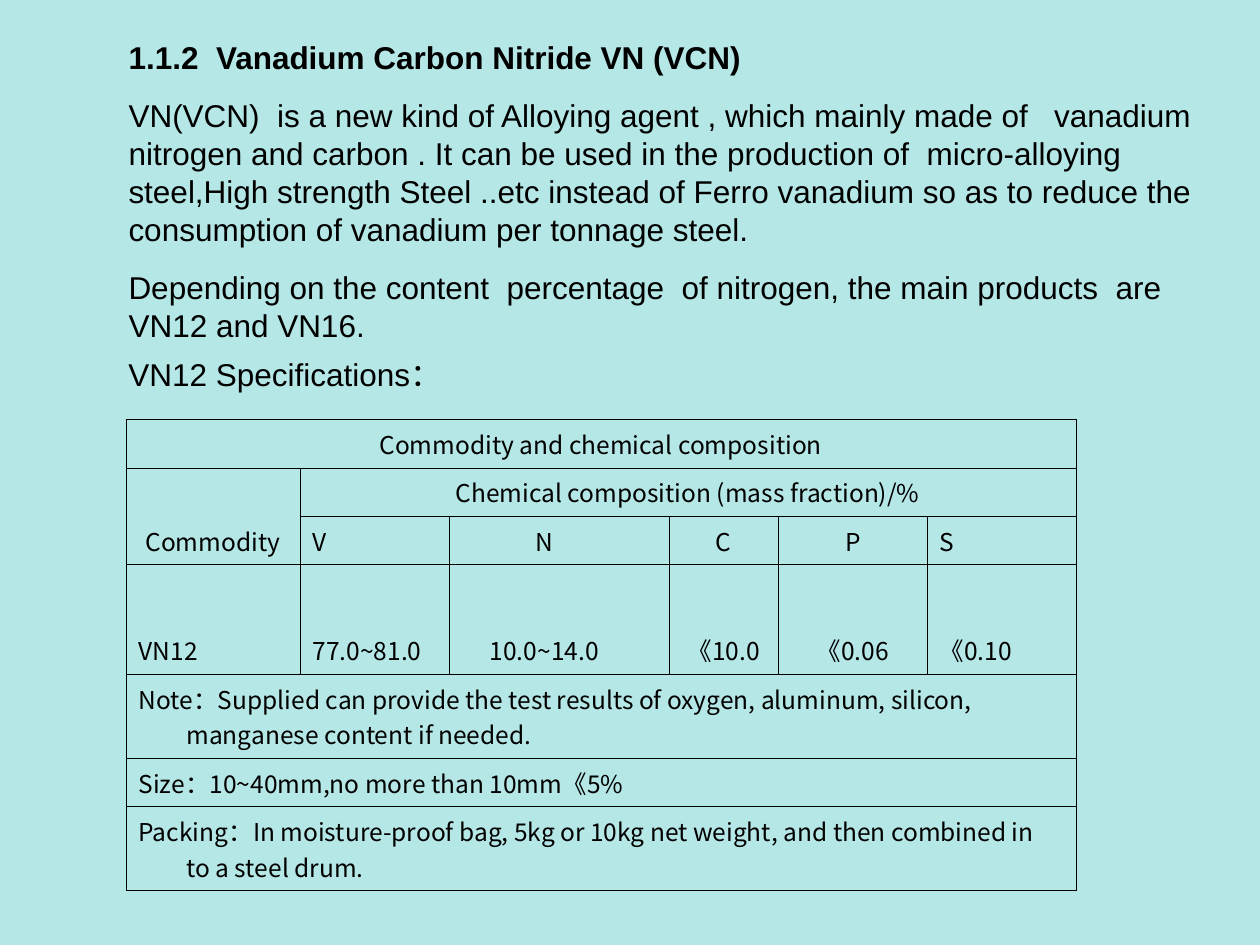
from lxml.etree import SubElement
from pptx import Presentation
from pptx.dml.color import RGBColor
from pptx.enum.text import MSO_ANCHOR, MSO_AUTO_SIZE, PP_ALIGN
from pptx.oxml import parse_xml
from pptx.oxml.ns import nsdecls, qn
from pptx.util import Inches, Pt

BACKGROUND = RGBColor(0xB5, 0xE7, 0xE6)
BLACK = RGBColor(0, 0, 0)
LATIN_FONT = "Arial"
CJK_FONT = "Noto Sans CJK SC"

TEXT_LEFT, TEXT_WIDTH = 0.92, 8.83
HEADING = "1.1.2  Vanadium Carbon Nitride VN (VCN)"
PARAGRAPHS = [
    "VN(VCN)  is a new kind of Alloying agent , which mainly made of   vanadium  "
    "nitrogen and carbon . It can be used in the production of  micro-alloying "
    "steel,High strength Steel ..etc instead of Ferro vanadium so as to reduce the "
    "consumption of vanadium per tonnage steel.",
    "Depending on the content  percentage  of nitrogen, the main products  are  "
    "VN12 and VN16.",
]

COLUMN_WIDTHS = [1.38, 1.19, 1.5, 0.24, 0.87, 1.18, 1.18]
ROW_HEIGHTS = [0.34, 0.34, 0.34, 0.87, 0.57, 0.37, 0.57]
LAST_COLUMN = len(COLUMN_WIDTHS) - 1
NITROGEN_COLUMN, SPARE_COLUMN = 2, 3
SPLIT_ROWS = (2, 3)
CENTERED_COLUMNS = (2, 4, 5)
ROWS = [
    ["Commodity and chemical composition"],
    ["Commodity", "Chemical composition (mass fraction)/%"],
    ["", "V", "N", "", "C", "P", "S"],
    ["VN12", "77.0~81.0", "10.0~14.0", "", "《10.0", "《0.06", "《0.10"],
    ["Note：Supplied can provide the test results of oxygen, aluminum, silicon, "
     "manganese content if needed."],
    ["Size：10~40mm,no more than 10mm《5%"],
    ["Packing：In moisture-proof bag, 5kg or 10kg net weight, and then combined in "
     "to a steel drum."],
]
MERGES = [(0, 0, 0, LAST_COLUMN), (1, 0, 2, 0), (1, 1, 1, LAST_COLUMN)] + [
    (row, 0, row, LAST_COLUMN) for row in (4, 5, 6)
]


def write_text(para, text, size=18, font=LATIN_FONT, bold=False, align=PP_ALIGN.LEFT):
    """Append a formatted run to a paragraph."""
    para.alignment = align
    span = para.add_run()
    span.text = text
    span.font.size = Pt(size)
    span.font.bold = bold
    span.font.name = font
    span.font.color.rgb = BLACK
    SubElement(span.font._element, qn("a:ea")).set("typeface", font)


def set_indent(para, left, first):
    """Set the left margin and first-line indent of a paragraph in inches."""
    properties = para._p.get_or_add_pPr()
    properties.set("marL", str(Inches(left)))
    properties.set("indent", str(Inches(first)))
    return properties


def prepare_box(box, left, top, width, height):
    """Place a text shape and return its wrapped, top-anchored frame."""
    box.left, box.top = Inches(left), Inches(top)
    box.width, box.height = Inches(width), Inches(height)
    frame = box.text_frame
    frame.word_wrap = True
    frame.auto_size = MSO_AUTO_SIZE.NONE
    frame.vertical_anchor = MSO_ANCHOR.TOP
    return frame


def set_spacing(para, before=0):
    """Give a paragraph the common line pitch and its space before."""
    para.line_spacing = Pt(21.7)
    para.space_before = Pt(before)


def add_heading(page):
    """Fill the title placeholder."""
    frame = prepare_box(page.shapes.title, TEXT_LEFT, 0.25, TEXT_WIDTH, 0.42)
    para = frame.paragraphs[0]
    set_spacing(para)
    write_text(para, HEADING, bold=True)


def add_description(page):
    """Fill the body placeholder with unbulleted paragraphs."""
    frame = prepare_box(page.placeholders[1], TEXT_LEFT, 0.71, TEXT_WIDTH, 2.06)
    for index, text in enumerate(PARAGRAPHS):
        para = frame.add_paragraph() if index else frame.paragraphs[0]
        set_spacing(para, before=11.2 if index else 0)
        SubElement(set_indent(para, 0, 0), qn("a:buNone"))
        write_text(para, text)


def add_table_label(page):
    """Add the line that introduces the table."""
    box = page.shapes.add_textbox(0, 0, 0, 0)
    para = prepare_box(box, TEXT_LEFT, 2.77, 4.42, 0.4).paragraphs[0]
    set_spacing(para)
    write_text(para, "VN12 Specifications")
    write_text(para, "：", font=CJK_FONT)


def set_borders(cell, hidden=""):
    """Draw thin black borders on all sides of a cell but the hidden one."""
    properties = cell._tc.get_or_add_tcPr()
    for index, side in enumerate("LRTB"):
        paint = "<a:noFill/>" if side == hidden else (
            f'<a:solidFill><a:srgbClr val="{BLACK}"/></a:solidFill>')
        line = f'<a:ln{side} {nsdecls("a")} w="{Pt(0.45)}">{paint}</a:ln{side}>'
        properties.insert(index, parse_xml(line))


def hidden_side(row, column):
    """Name the border left out between the nitrogen cell and the spare cell."""
    if row not in SPLIT_ROWS:
        return ""
    return {NITROGEN_COLUMN: "R", SPARE_COLUMN: "L"}.get(column, "")


def fill_cell(cell, text, centered):
    """Write a bottom-anchored cell with a hanging indent."""
    cell.vertical_anchor = MSO_ANCHOR.BOTTOM
    if not text:
        cell.margin_top = cell.margin_bottom = 0
        return
    para = cell.text_frame.paragraphs[0]
    set_indent(para, 0.38, -0.38)
    align = PP_ALIGN.CENTER if centered else PP_ALIGN.LEFT
    write_text(para, text, size=14, font=CJK_FONT, align=align)


def add_specifications(page):
    """Add the composition table."""
    frame = page.shapes.add_table(
        len(ROW_HEIGHTS), len(COLUMN_WIDTHS), Inches(1), Inches(3.33),
        Inches(sum(COLUMN_WIDTHS)), Inches(sum(ROW_HEIGHTS)))
    table = frame.table
    table.first_row = table.horz_banding = False
    for column, width in zip(table.columns, COLUMN_WIDTHS):
        column.width = Inches(width)
    for row, height in zip(table.rows, ROW_HEIGHTS):
        row.height = Inches(height)
    for top, left, bottom, right in MERGES:
        table.cell(top, left).merge(table.cell(bottom, right))
    for row, texts in enumerate(ROWS):
        padded = texts + [""] * (len(COLUMN_WIDTHS) - len(texts))
        for column, text in enumerate(padded):
            cell = table.cell(row, column)
            cell.fill.background()
            set_borders(cell, hidden_side(row, column))
            fill_cell(cell, text, row < 2 or column in CENTERED_COLUMNS)


def main():
    """Build and save the slide."""
    deck = Presentation()
    deck.slide_width, deck.slide_height = Inches(10), Inches(7.5)
    page = deck.slides.add_slide(deck.slide_layouts[1])
    page.background.fill.solid()
    page.background.fill.fore_color.rgb = BACKGROUND
    add_specifications(page)
    add_heading(page)
    add_description(page)
    add_table_label(page)
    deck.save("out.pptx")


if __name__ == "__main__":
    main()
